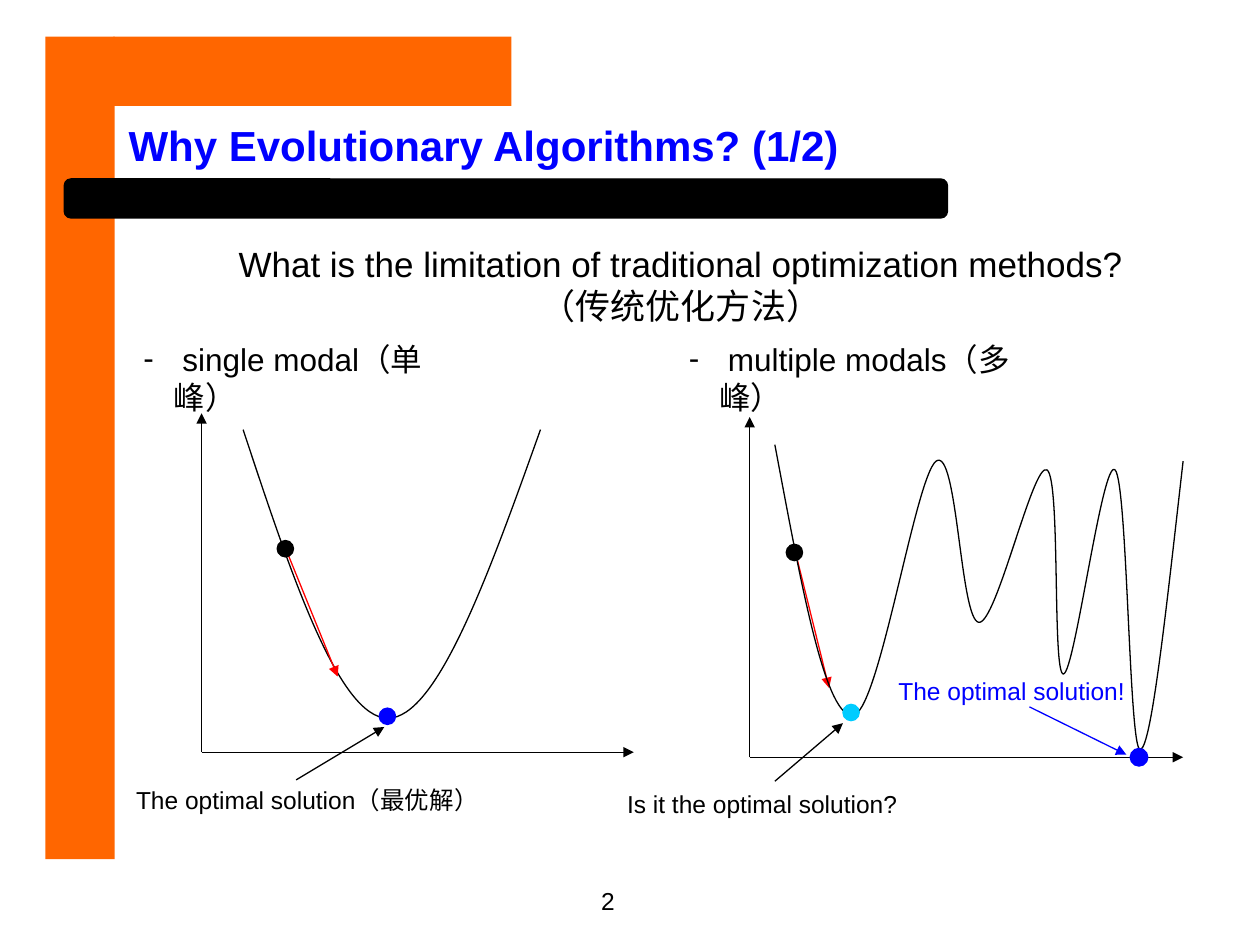
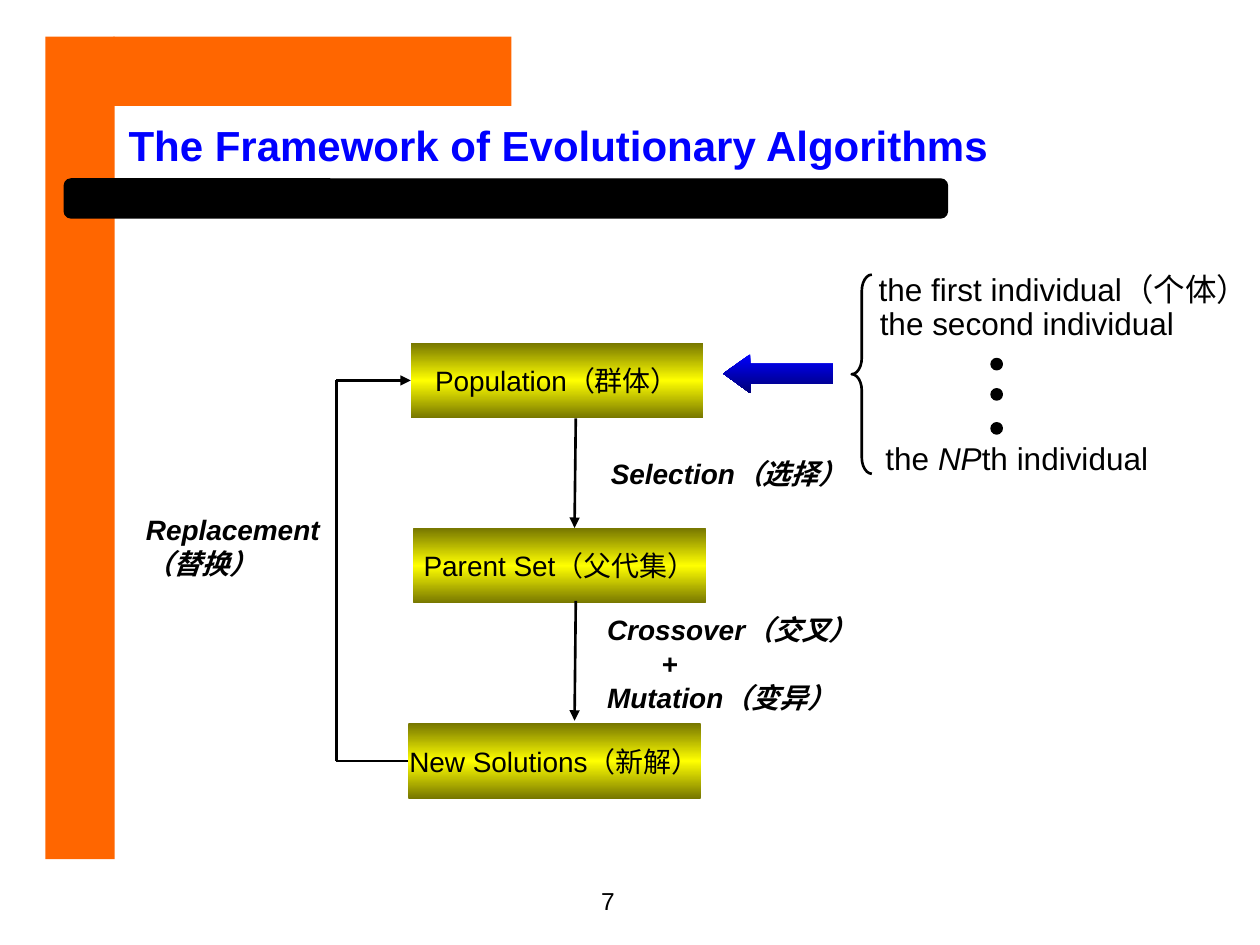
from lxml.etree import SubElement as Sub
from pptx import Presentation
from pptx.dml.color import RGBColor as Rgb
from pptx.enum.shapes import MSO_CONNECTOR as Link, MSO_SHAPE as Geo
from pptx.enum.text import MSO_ANCHOR as Anchor, PP_ALIGN as Align
from pptx.oxml.ns import qn
from pptx.util import Pt

PX = 9144
FONT = "Arial"
HUES = {
    "ink": "000000",
    "band": "FF6600",
    "blue": "0000FF",
    "navy": "000076",
    "red": "FF0000",
    "cyan": "00CCFF",
    "olive": "767600",
    "gold": "FFFF00",
}


def hue(name):
    return Rgb.from_string(HUES[name])


def emu(*sizes):
    return [size * PX for size in sizes]


def write(frame, text, size=14, color="ink", bold=False, slant=False,
          align=Align.CENTER, anchor=Anchor.MIDDLE, wrap=True, dash=0):
    frame.word_wrap = wrap
    frame.vertical_anchor = anchor
    for row, line in enumerate(text.split("\n")):
        para = frame.add_paragraph() if row else frame.paragraphs[0]
        para.alignment = align
        if dash:
            props = para._p.get_or_add_pPr()
            props.set("marL", str(dash * PX))
            props.set("indent", str(-dash * PX))
            Sub(props, qn("a:buFont"), typeface=FONT)
            Sub(props, qn("a:buChar"), char="-")
        for turn, part in enumerate(line.split("*")):
            run = para.add_run()
            run.text = part
            font = run.font
            font.name, font.size, font.bold = FONT, Pt(size), bold
            font.italic = slant or turn % 2 == 1
            font.color.rgb = hue(color)
    return frame


class Deck:
    def __init__(self):
        self.file = Presentation()
        self.file.slide_width, self.file.slide_height = emu(1000, 750)
        self.slide = None

    def page(self, title, number, width):
        self.slide = self.file.slides.add_slide(self.file.slide_layouts[5])
        self.shape(Geo.RECTANGLE, 36, 29, 55, 653, "band")
        self.shape(Geo.RECTANGLE, 90, 29, 316, 55, "band")
        bar = self.shape(Geo.ROUNDED_RECTANGLE, 51, 142, 701, 31, "ink", 0.75)
        bar.adjustments[0] = 0.17
        head = self.slide.shapes.title
        head.left, head.top, head.width, head.height = emu(92, 91, width, 47)
        write(head.text_frame, title, size=24, color="blue", bold=True,
              align=Align.LEFT)
        self.text(number, 366, 698, 233, 52, anchor=Anchor.TOP)

    def shape(self, geo, x, y, w, h, color=None, edge=0):
        item = self.slide.shapes.add_shape(geo, *emu(x, y, w, h))
        item.shadow.inherit = False
        if color:
            item.fill.solid()
            item.fill.fore_color.rgb = hue(color)
        else:
            item.fill.background()
        self.stroke(item, color or "ink", edge)
        return item

    def stroke(self, item, color, edge):
        if edge:
            item.line.color.rgb = hue(color)
            item.line.width = Pt(edge)
        else:
            item.line.fill.background()

    def blend(self, item, colors, angle):
        item.fill.gradient()
        item.fill.gradient_angle = angle
        stops = item._element.spPr.find(qn("a:gradFill")).find(qn("a:gsLst"))
        stops.clear()
        for rank, color in enumerate(colors):
            spot = rank * 100000 // (len(colors) - 1)
            stop = Sub(stops, qn("a:gs"), pos=str(spot))
            Sub(stop, qn("a:srgbClr"), val=HUES[color])

    def box(self, text, x, y):
        item = self.shape(Geo.RECTANGLE, x, y, 232, 60, "gold")
        self.blend(item, ["olive", "gold", "olive"], 270)
        write(item.text_frame, text, size=16, wrap=False)
        return item

    def dot(self, x, y, size, color="ink", edge=0.75):
        self.shape(Geo.OVAL, x, y, size, size, color, edge)

    def text(self, text, x, y, w, h, **style):
        area = self.slide.shapes.add_textbox(*emu(x, y, w, h))
        return write(area.text_frame, text, **style)

    def line(self, x, y, to_x, to_y, color="ink", edge=0.75, arrow=True):
        item = self.slide.shapes.add_connector(
            Link.STRAIGHT, *emu(x, y, to_x, to_y))
        self.stroke(item, color, edge)
        if arrow:
            Sub(item.line._get_or_add_ln(), qn("a:tailEnd"), type="triangle")
        Sub(item._element.spPr, qn("a:effectLst"))
        return item

    def curve(self, start, *points):
        pen = self.slide.shapes.build_freeform(*start, scale=PX)
        pen.add_line_segments(points, close=False)
        item = pen.convert_to_shape()
        item.shadow.inherit = False
        item.fill.background()
        self.stroke(item, "ink", 0.75)
        trace = next(item._element.iter(qn("a:path")))
        legs = trace.findall(qn("a:lnTo"))
        for trio in zip(legs[::3], legs[1::3], legs[2::3]):
            bend = Sub(trace, qn("a:cubicBezTo"))
            for leg in trio:
                bend.append(leg[0])
                trace.remove(leg)

    def axes(self, x, y, right, top):
        self.line(x, y, right, y)
        self.line(x, y, x, top)


def limits(deck):
    deck.page("Why Evolutionary Algorithms? (1/2)", "2", 865)
    deck.text("What is the limitation of traditional optimization methods?\n"
              "（传统优化方法）", 92, 185, 897, 81, size=20)
    for text, x, w in ((" single modal（单峰）", 104, 256),
                       (" multiple modals（多峰）", 537, 293)):
        deck.text(text, x, 265, w, 40, size=18, align=Align.LEFT,
                  anchor=Anchor.TOP, dash=24)

    deck.axes(160, 597, 503, 328)
    deck.curve((193, 341),
               (231, 456), (269, 570), (308, 570),
               (347, 570), (388, 456), (429, 341))
    deck.line(227, 436, 268, 537, "red")
    deck.dot(301, 562, 13, "blue")
    deck.dot(220, 429, 13)
    deck.line(235, 619, 305, 577)
    deck.text("The optimal solution（最优解）", 94, 604, 300, 61)

    deck.axes(595, 601, 939, 331)
    deck.text("Is it the optimal solution?", 455, 607, 300, 61)
    deck.line(633, 445, 658, 546, "red")
    deck.dot(624, 432, 13)
    deck.line(615, 620, 669, 574)
    deck.curve((615, 353),
               (635, 459), (654, 566), (676, 568),
               (697, 571), (726, 379), (743, 366),
               (760, 354), (762, 493), (777, 494),
               (791, 495), (820, 366), (831, 373),
               (842, 380), (835, 535), (844, 535),
               (853, 535), (875, 363), (885, 373),
               (895, 383), (896, 596), (905, 595),
               (914, 594), (926, 480), (939, 366))
    deck.dot(669, 559, 13, "cyan")
    deck.dot(897, 594, 14, "blue")
    deck.text("The optimal solution!", 685, 513, 236, 71, color="blue")
    deck.line(817, 561, 894, 599, "blue")


def frame(deck):
    deck.page("The Framework of Evolutionary Algorithms", "7", 794)
    crowd = deck.box("Population（群体）", 326, 272)
    deck.box("Parent Set（父代集）", 328, 419)
    fresh = deck.box("New Solutions（新解）", 324, 574)
    deck.line(457, 332, 456, 419, edge=1.5)
    deck.line(457, 477, 456, 572, edge=1.5)

    out = deck.line(324, 604, 267, 604, edge=1.5, arrow=False)
    out.begin_connect(fresh, 1)
    deck.line(267, 604, 267, 302, edge=1.5, arrow=False)
    back = deck.line(267, 302, 326, 302, edge=1.5)
    back.end_connect(crowd, 1)

    step = dict(size=16, bold=True, slant=True, align=Align.LEFT)
    deck.text("Selection（选择）", 475, 356, 250, 39, **step)
    deck.text("Replacement\n（替换）", 106, 402, 180, 63, **step)
    pair = deck.text("Crossover（交叉）\n+\nMutation（变异）",
                     472, 495, 250, 63, **step)
    pair.paragraphs[1]._p.get_or_add_pPr().set("marL", str(43 * PX))

    arrow = deck.shape(Geo.RIGHT_ARROW, 574, 281, 87, 31, "blue")
    arrow.adjustments[1] = 0.69
    arrow.rotation = 180
    deck.blend(arrow, ["blue", "navy"], 90)
    brace = deck.shape(Geo.LEFT_BRACE, 676, 218, 16, 158, edge=1.5)
    brace.adjustments[0] = 0.81
    for text, x, y, w, h in (
            ("the first individual（个体）", 684, 210, 320, 39),
            ("the second individual", 681, 233, 268, 47),
            ("the *NP*th individual", 673, 344, 268, 39)):
        deck.text(text, x, y, w, h, size=18)
    for y in (285, 309, 336):
        deck.dot(787, y, 8, edge=1.5)


def main():
    deck = Deck()
    limits(deck)
    frame(deck)
    deck.file.save("out.pptx")


if __name__ == "__main__":
    main()
